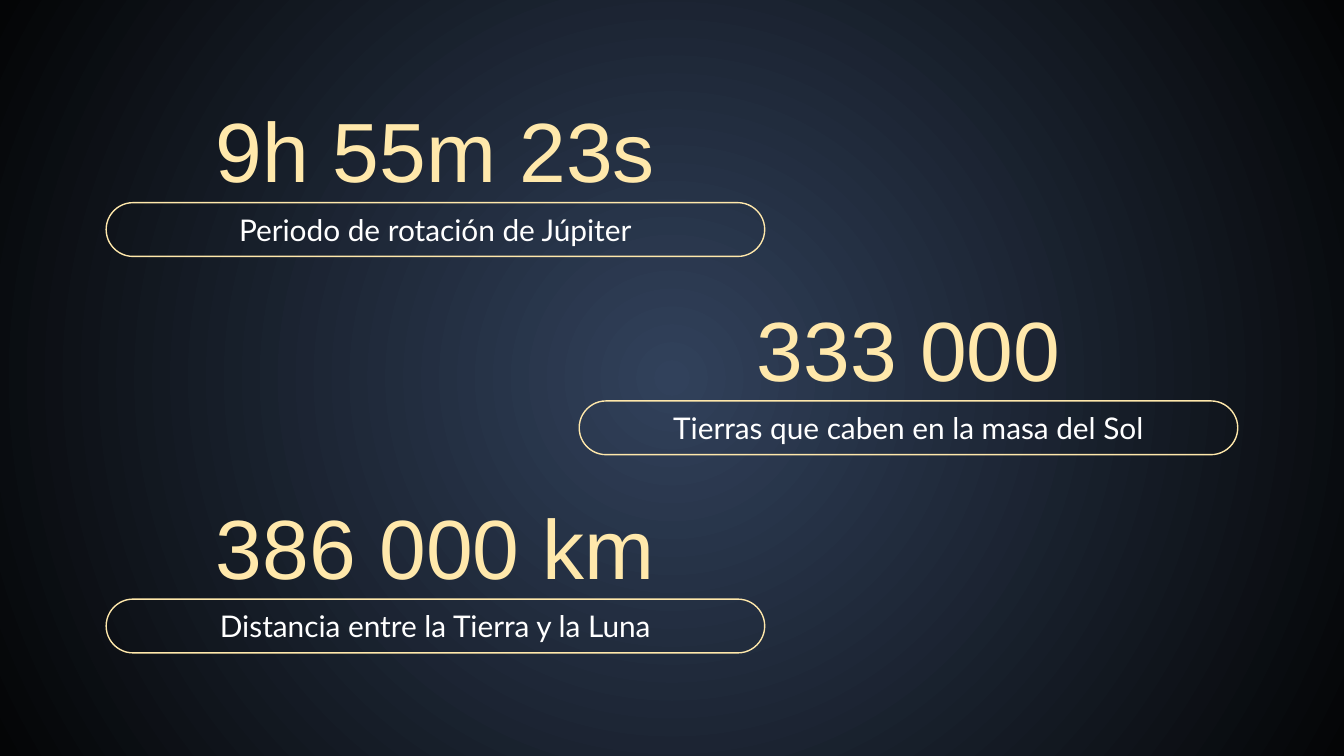
from lxml import etree
from pptx import Presentation
from pptx.dml.color import RGBColor
from pptx.enum.shapes import MSO_SHAPE
from pptx.enum.text import MSO_ANCHOR, PP_ALIGN
from pptx.oxml.ns import qn
from pptx.util import Pt

ROUND = MSO_SHAPE.ROUNDED_RECTANGLE
MIDDLE = MSO_ANCHOR.MIDDLE
CENTER = PP_ALIGN.CENTER

NAVY = RGBColor(0x31, 0x41, 0x5B)
BLACK = RGBColor(0x04, 0x05, 0x06)
GOLD = RGBColor(0xFF, 0xE8, 0xAB)
WHITE = RGBColor(0xFF, 0xFF, 0xFF)

LEFT, RIGHT = 56.9, 310.3
TOP, STEP = 108.6, 106.2
WIDTH, HEIGHT = 352.8, 28.8
INSET = 10.8
RISE, TALL = 53.8, 50.4

FACTS = [
    (LEFT, "9h 55m 23s", "Periodo de rotación de Júpiter"),
    (RIGHT, "333 000", "Tierras que caben en la masa del Sol"),
    (LEFT, "386 000 km", "Distancia entre la Tierra y la Luna"),
]


class Deck:
    big = ("Arial", 45, GOLD)
    small = ("Lato", 16, WHITE)

    def __init__(self, slide):
        self.slide = slide

    def glow(self, inner, outer):
        fill = self.slide.background.fill
        fill.gradient()
        for stop, color in zip(fill.gradient_stops, (inner, outer)):
            stop.color.rgb = color
        grad = self.slide.element.find(".//" + qn("a:gradFill"))
        grad.remove(grad.find(qn("a:lin")))
        ring = etree.SubElement(grad, qn("a:path"), {"path": "circle"})
        sides = dict.fromkeys("ltrb", "50000")
        etree.SubElement(ring, qn("a:fillToRect"), sides)

    def pill(self, left, top, width, height):
        shape = self.slide.shapes.add_shape(
            ROUND, Pt(left), Pt(top), Pt(width), Pt(height))
        shape.adjustments[0] = 0.5
        shape.shadow.inherit = False
        shape.fill.background()
        shape.line.color.rgb = GOLD
        shape.line.width = Pt(0.75)

    def label(self, text, style, left, top, width, height):
        box = self.slide.shapes.add_textbox(
            Pt(left), Pt(top), Pt(width), Pt(height))
        frame = box.text_frame
        frame.word_wrap = True
        frame.vertical_anchor = MIDDLE
        frame.margin_left = frame.margin_right = Pt(7.2)
        frame.margin_top = frame.margin_bottom = Pt(7.2)
        frame.text = text
        line = frame.paragraphs[0]
        line.alignment = CENTER
        font = line.runs[0].font
        name, size, color = style
        font.name = name
        font.size = Pt(size)
        font.color.rgb = color

    def fact(self, left, top, value, note):
        inner = left + INSET
        width = WIDTH - 2 * INSET
        self.pill(left, top, WIDTH, HEIGHT)
        self.label(value, self.big, inner, top - RISE, width, TALL)
        self.label(note, self.small, inner, top, width, HEIGHT)


def main():
    prs = Presentation()
    prs.slide_width = Pt(720)
    prs.slide_height = Pt(405)
    deck = Deck(prs.slides.add_slide(prs.slide_layouts[6]))
    deck.glow(NAVY, BLACK)
    for row, (left, value, note) in enumerate(FACTS):
        deck.fact(left, TOP + row * STEP, value, note)
    prs.save("out.pptx")


if __name__ == "__main__":
    main()
